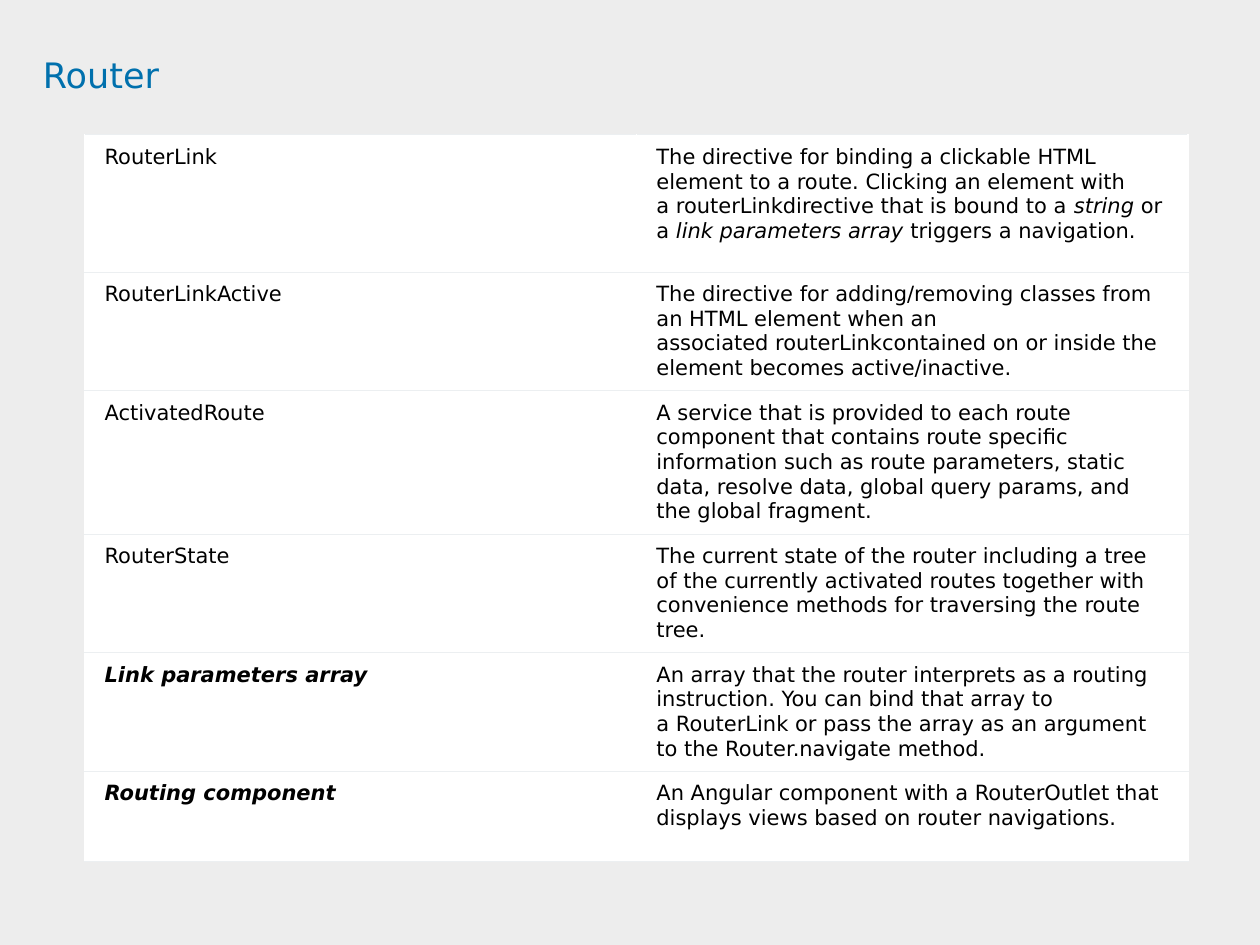
from lxml import etree
from pptx import Presentation
from pptx.dml.color import RGBColor
from pptx.enum.text import MSO_ANCHOR, PP_ALIGN
from pptx.oxml.ns import qn
from pptx.util import Inches, Pt

TOP = MSO_ANCHOR.TOP
LEFT = PP_ALIGN.LEFT
FONT = "DejaVu Sans"
BLUE = RGBColor(0x00, 0x70, 0xAD)
BLACK = RGBColor(0x00, 0x00, 0x00)
WHITE = RGBColor(0xFF, 0xFF, 0xFF)
PALE_GRAY = RGBColor(0xED, 0xED, 0xED)
RULE_GRAY = RGBColor(0xEC, 0xEF, 0xF1)
NO_BREAK_SPACE = chr(160)
TITLE_ONLY = 5

ROW_HEIGHTS = [1.09, 0.91, 1.09, 0.91, 0.92, 0.72]
EMPHASIZED_TERMS = {"Link parameters array", "Routing component"}
DEFINITIONS = [
    ("RouterLink",
     "The directive for binding a clickable HTML element to a route. Clicking an element "
     "with a~routerLinkdirective that is bound to a~*string*~or a~*link parameters array*"
     "~triggers a navigation."),
    ("RouterLinkActive",
     "The directive for adding/removing classes from an HTML element when an "
     "associated~routerLinkcontained on or inside the element becomes active/inactive."),
    ("ActivatedRoute",
     "A service that is provided to each route component that contains route specific "
     "information such as route parameters, static data, resolve data, global query "
     "params, and the global fragment."),
    ("RouterState",
     "The current state of the router including a tree of the currently activated routes "
     "together with convenience methods for traversing the route tree."),
    ("Link parameters array",
     "An array that the router interprets as a routing instruction. You can bind that array "
     "to a~RouterLink~or pass the array as an argument to the~Router.navigate~method."),
    ("Routing component",
     "An Angular component with a~RouterOutlet~that displays views based on router "
     "navigations."),
]


def format_run(run, size, color, bold=False, italic=False):
    """Set the font of one run."""
    font = run.font
    font.name, font.size, font.bold, font.italic = FONT, Pt(size), bold, italic
    font.color.rgb = color


def add_title(slide, text):
    """Fill and place the title placeholder."""
    title = slide.shapes.title
    title.left, title.top = Inches(0.34), Inches(0.46)
    title.width, title.height = Inches(9.09), Inches(0.94)
    frame = title.text_frame
    frame.margin_left = frame.margin_right = frame.margin_top = frame.margin_bottom = 0
    frame.vertical_anchor = TOP
    frame.text = text
    paragraph = frame.paragraphs[0]
    paragraph.alignment = LEFT
    paragraph.line_spacing = 0.9
    format_run(paragraph.runs[0], 20, BLUE)


def add_rules(cell):
    """Draw thin rules above and below a cell."""
    properties = cell._tc.get_or_add_tcPr()
    for position, tag in enumerate(("a:lnT", "a:lnB")):
        line = etree.Element(qn(tag), w=str(Pt(0.5)))
        fill = etree.SubElement(line, qn("a:solidFill"))
        etree.SubElement(fill, qn("a:srgbClr"), val=str(RULE_GRAY))
        properties.insert(position, line)


def fill_cell(cell, text, emphasized=False):
    """Write a cell, with asterisks around italics and tildes for no-break spaces."""
    cell.fill.solid()
    cell.fill.fore_color.rgb = WHITE
    cell.margin_left = cell.margin_right = Inches(0.16)
    cell.margin_top = cell.margin_bottom = Inches(0.08)
    cell.vertical_anchor = TOP
    paragraph = cell.text_frame.paragraphs[0]
    for index, part in enumerate(text.replace("~", NO_BREAK_SPACE).split("*")):
        run = paragraph.add_run()
        run.text = part
        format_run(run, 12, BLACK, emphasized, emphasized or index % 2 == 1)
    add_rules(cell)


def add_definition_table(slide):
    """Add the two-column table of router terms."""
    table = slide.shapes.add_table(
        len(DEFINITIONS), 2, Inches(0.67), Inches(1.07),
        Inches(8.76), Inches(sum(ROW_HEIGHTS))).table
    table.first_row = table.horz_banding = False
    for row, height, (term, meaning) in zip(table.rows, ROW_HEIGHTS, DEFINITIONS):
        row.height = Inches(height)
        fill_cell(row.cells[0], term, term in EMPHASIZED_TERMS)
        fill_cell(row.cells[1], meaning)


def main():
    """Build and save the slide."""
    presentation = Presentation()
    presentation.slide_width, presentation.slide_height = Inches(10), Inches(7.5)
    slide = presentation.slides.add_slide(presentation.slide_layouts[TITLE_ONLY])
    slide.background.fill.solid()
    slide.background.fill.fore_color.rgb = PALE_GRAY
    add_title(slide, "Router")
    add_definition_table(slide)
    presentation.save("out.pptx")


if __name__ == "__main__":
    main()
